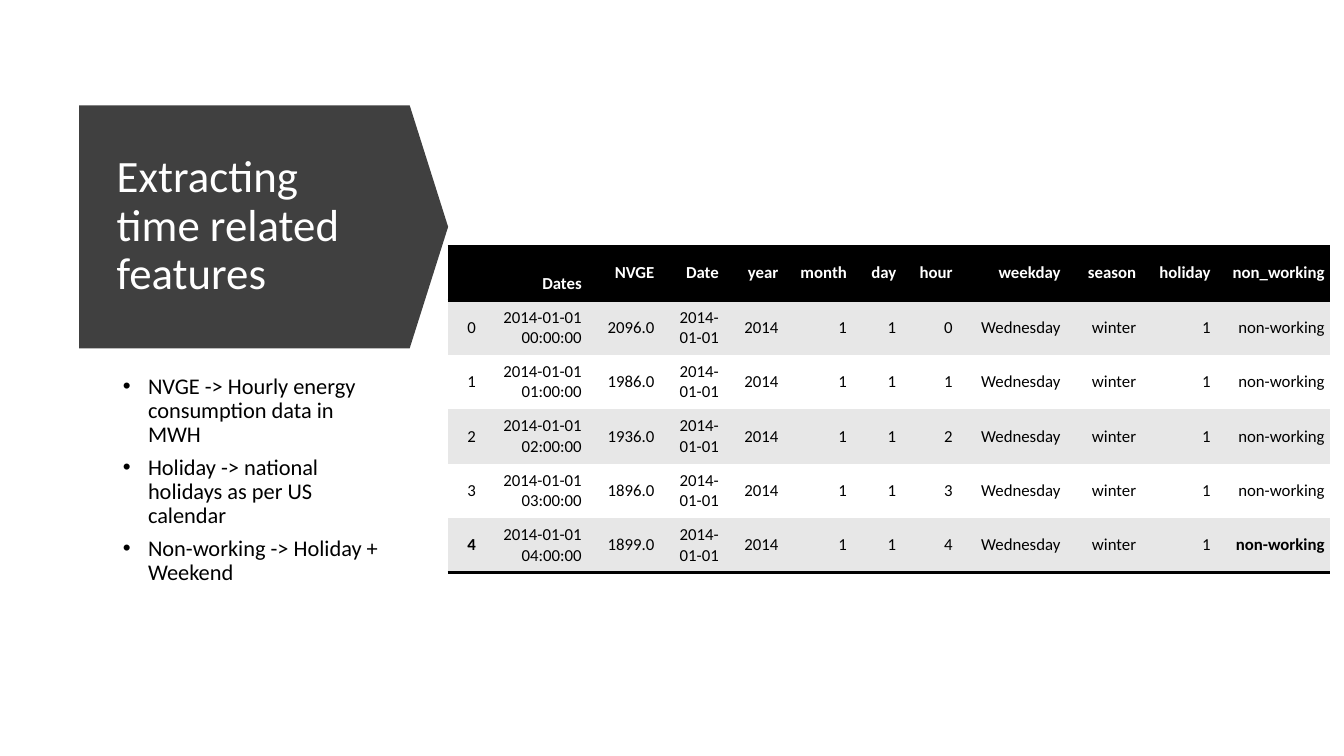
from dataclasses import dataclass

from lxml import etree
from pptx import Presentation
from pptx import util as u
from pptx.dml import color
from pptx.enum import shapes, text
from pptx.oxml import ns

COLORS = {"black": "000000", "white": "FFFFFF", "charcoal": "404040", "band": "E7E7E7"}
FONT = "Calibri"
PLAIN_TABLE_STYLE = "{2D5ABB26-0587-4C30-8999-92F81FD0307C}"


@dataclass(frozen=True)
class TextBlock:
    left: float
    top: float
    width: float
    height: float
    lines: tuple[str, ...]
    size: int
    ink: str
    anchor: text.MSO_ANCHOR
    bulleted: bool = False


@dataclass(frozen=True)
class Column:
    heading: str
    width: float


@dataclass(frozen=True)
class CellStyle:
    fill: str
    ink: str
    bold: bool = False
    borders: tuple[str, ...] = ()
    top_margin: float = 0.03


BLOCKS = (
    TextBlock(1.06, 1.32, 2.8, 1.86, ("Extracting time related features",),
              32, "white", text.MSO_ANCHOR.MIDDLE),
    TextBlock(1.06, 3.67, 2.92, 2.65,
              ("NVGE -> Hourly energy consumption data in MWH",
               "Holiday -> national holidays as per US calendar",
               "Non-working -> Holiday + Weekend"),
              16, "black", text.MSO_ANCHOR.TOP, True),
)
COLUMNS = (
    Column("", 0.33), Column("Dates", 1.05), Column("NVGE", 0.72),
    Column("Date", 0.64), Column("year", 0.59), Column("month", 0.68),
    Column("day", 0.49), Column("hour", 0.56), Column("weekday", 1.07),
    Column("season", 0.75), Column("holiday", 0.74), Column("non_working", 1.13),
)
HOURLY_LOADS = ("2096.0", "1986.0", "1936.0", "1896.0", "1899.0")
TABLE_LEFT, TABLE_TOP, ROW_HEIGHT = 4.44, 2.44, 0.54


def rgb(name: str) -> color.RGBColor:
    return color.RGBColor.from_string(COLORS[name])


def add_span(para, words: str, size: int, ink: str, bold: bool = False) -> None:
    span = para.add_run()
    span.text = words
    span.font.name = FONT
    span.font.size = u.Pt(size)
    span.font.bold = bold
    span.font.color.rgb = rgb(ink)


def add_bullet(para) -> None:
    properties = para._p.get_or_add_pPr()
    properties.set("marL", str(u.Inches(0.31)))
    properties.set("indent", str(u.Inches(-0.25)))
    etree.SubElement(properties, ns.qn("a:buFont")).set("typeface", "Arial")
    etree.SubElement(properties, ns.qn("a:buChar")).set("char", "•")


def draw_arrow(page) -> None:
    arrow = page.shapes.add_shape(
        shapes.MSO_SHAPE.DOWN_ARROW,
        u.Inches(1.41), u.Inches(0.42), u.Inches(2.41), u.Inches(3.66))
    arrow.rotation = 270
    arrow.adjustments[0] = 1
    arrow.adjustments[1] = 0.158
    arrow.shadow.inherit = False
    arrow.fill.solid()
    arrow.fill.fore_color.rgb = rgb("charcoal")
    arrow.line.fill.background()


def draw_text(page, block: TextBlock) -> None:
    box = page.shapes.add_textbox(u.Inches(block.left), u.Inches(block.top),
                                  u.Inches(block.width), u.Inches(block.height))
    frame = box.text_frame
    frame.word_wrap = True
    frame.vertical_anchor = block.anchor
    for index, line in enumerate(block.lines):
        para = frame.add_paragraph() if index else frame.paragraphs[0]
        para.line_spacing = 0.9
        if block.bulleted:
            para.space_after = u.Pt(6)
            add_bullet(para)
        add_span(para, line, block.size, block.ink)


def add_border(cell, edge: str, position: int) -> None:
    line = etree.Element(ns.qn(f"a:{edge}"), w=str(u.Pt(2)))
    fill = etree.SubElement(line, ns.qn("a:solidFill"))
    etree.SubElement(fill, ns.qn("a:srgbClr")).set("val", COLORS["black"])
    cell._tc.get_or_add_tcPr().insert(position, line)


def fill_cell(cell, words: str, style: CellStyle) -> None:
    cell.margin_left = cell.margin_right = u.Inches(0.05)
    cell.margin_top = u.Inches(style.top_margin)
    cell.margin_bottom = u.Inches(0.03)
    cell.vertical_anchor = text.MSO_ANCHOR.MIDDLE
    cell.fill.solid()
    cell.fill.fore_color.rgb = rgb(style.fill)
    for position, edge in enumerate(style.borders):
        add_border(cell, edge, position)
    para = cell.text_frame.paragraphs[0]
    para.alignment = text.PP_ALIGN.RIGHT
    if words:
        add_span(para, words, 12, style.ink, style.bold)


def hourly_row(hour: int, load: str) -> tuple[str, ...]:
    date = "2014-01-01"
    return (str(hour), f"{date} {hour:02}:00:00", load, date, "2014", "1", "1",
            str(hour), "Wednesday", "winter", "1", "non-working")


def cell_style(row: int, column: int) -> CellStyle:
    if row == 0:
        lowered = COLUMNS[column].heading == "Dates"
        return CellStyle("black", "white", True, ("lnT", "lnB"), 0.25 if lowered else 0.03)
    last = row == len(HOURLY_LOADS)
    corner = last and column in (0, len(COLUMNS) - 1)
    return CellStyle("band" if row % 2 else "white", "black", corner,
                     ("lnB",) if last else ())


def draw_table(page) -> None:
    rows = [tuple(column.heading for column in COLUMNS)]
    rows += [hourly_row(hour, load) for hour, load in enumerate(HOURLY_LOADS)]
    frame = page.shapes.add_table(
        len(rows), len(COLUMNS), u.Inches(TABLE_LEFT), u.Inches(TABLE_TOP),
        u.Inches(sum(column.width for column in COLUMNS)),
        u.Inches(ROW_HEIGHT * len(rows)))
    next(frame.element.iter(ns.qn("a:tableStyleId"))).text = PLAIN_TABLE_STYLE
    table = frame.table
    table.horz_banding = False
    for index, column in enumerate(COLUMNS):
        table.columns[index].width = u.Inches(column.width)
    for row, values in enumerate(rows):
        table.rows[row].height = u.Inches(ROW_HEIGHT)
        for column, words in enumerate(values):
            fill_cell(table.cell(row, column), words, cell_style(row, column))


def main() -> None:
    deck = Presentation()
    deck.slide_width, deck.slide_height = u.Inches(13.33), u.Inches(7.5)
    page = deck.slides.add_slide(deck.slide_layouts[6])
    draw_arrow(page)
    for block in BLOCKS:
        draw_text(page, block)
    draw_table(page)
    deck.save("out.pptx")


if __name__ == "__main__":
    main()
